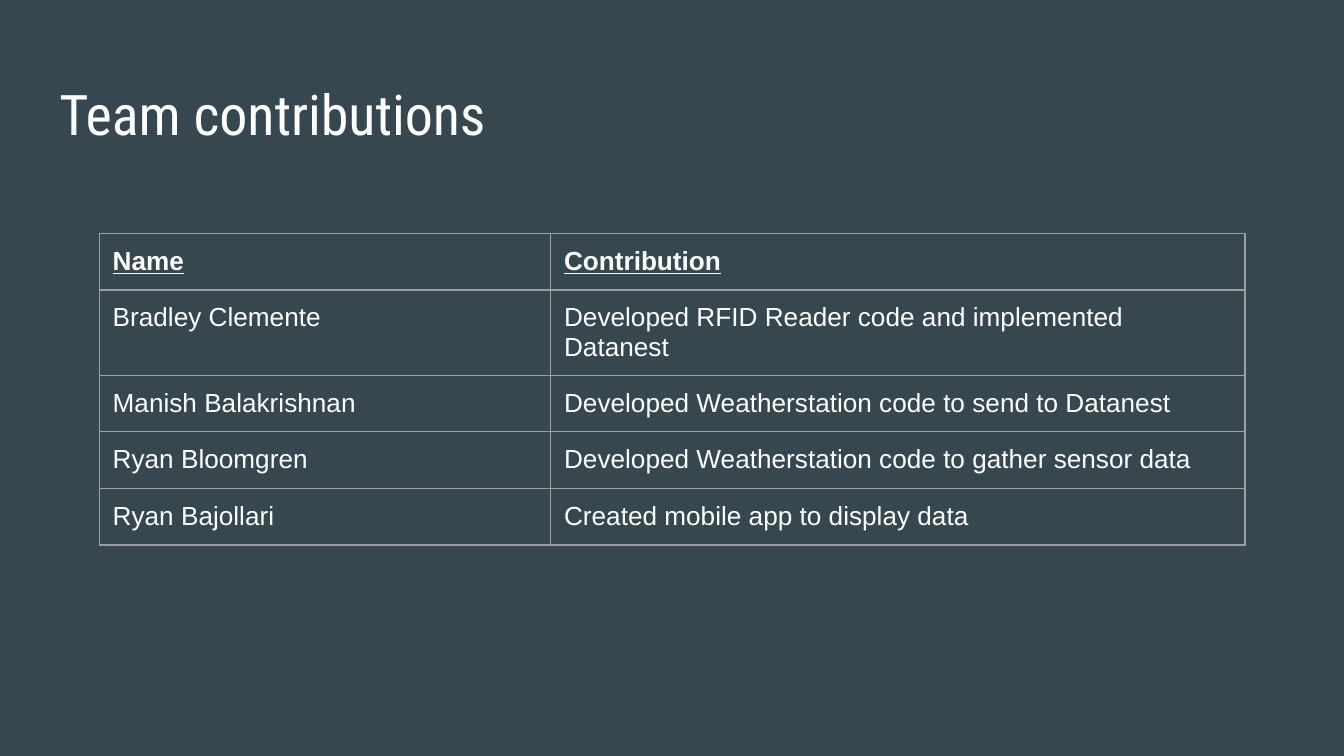
from lxml import etree
from pptx import Presentation
from pptx import util as u
from pptx.dml.color import RGBColor
from pptx.enum import text
from pptx.oxml.ns import qn

HUES = {"back": "37474F", "text": "FFFFFF", "rule": "9E9E9E"}
PAD = u.Cm(0.25)

ROWS = [
    ("Name", "Contribution"),
    ("Bradley Clemente", "Developed RFID Reader code and implemented Datanest"),
    ("Manish Balakrishnan", "Developed Weatherstation code to send to Datanest"),
    ("Ryan Bloomgren", "Developed Weatherstation code to gather sensor data"),
    ("Ryan Bajollari", "Created mobile app to display data"),
]


class Deck:
    """Holds the style and the current slide."""

    def __init__(self, wide, high):
        self.prs = Presentation()
        self.prs.slide_width, self.prs.slide_height = u.Cm(wide), u.Cm(high)
        self.slide = self.prs.slides.add_slide(self.prs.slide_layouts[5])
        fill = self.slide.background.fill
        fill.solid()
        fill.fore_color.rgb = RGBColor.from_string(HUES["back"])

    def style(self, frame, face, size, head=False):
        frame.word_wrap = True
        for para in frame.paragraphs:
            para.alignment = text.PP_ALIGN.LEFT
            for run in para.runs:
                font = run.font
                font.name, font.size = face, u.Pt(size)
                font.bold = font.underline = head
                font.color.rgb = RGBColor.from_string(HUES["text"])

    def pad(self, item):
        item.margin_left = item.margin_right = PAD
        item.margin_top = item.margin_bottom = PAD
        item.vertical_anchor = text.MSO_ANCHOR.TOP

    def title(self, words, left, top, wide, high):
        box = self.slide.shapes.title
        box.left, box.top = u.Cm(left), u.Cm(top)
        box.width, box.height = u.Cm(wide), u.Cm(high)
        frame = box.text_frame
        frame.text = words
        frame.auto_size = text.MSO_AUTO_SIZE.NONE
        self.pad(frame)
        self.style(frame, "Roboto Condensed", 30)

    def border(self, cell):
        props = cell._tc.get_or_add_tcPr()
        for spot, side in enumerate(("lnL", "lnR", "lnT", "lnB")):
            line = etree.Element(qn(f"a:{side}"), w=str(u.Pt(0.75)))
            fill = etree.SubElement(line, qn("a:solidFill"))
            etree.SubElement(fill, qn("a:srgbClr"), val=HUES["rule"])
            props.insert(spot, line)

    def table(self, rows, left, top, cols, high):
        frame = self.slide.shapes.add_table(
            len(rows), len(cols), u.Cm(left), u.Cm(top),
            u.Cm(sum(cols)), u.Cm(high * len(rows)))
        grid = frame.table
        grid.horz_banding = grid.first_row = False
        for col, wide in zip(grid.columns, cols):
            col.width = u.Cm(wide)
        for r, row in enumerate(rows):
            grid.rows[r].height = u.Cm(high)
            for c, words in enumerate(row):
                cell = grid.cell(r, c)
                cell.text_frame.text = words
                self.pad(cell)
                self.style(cell.text_frame, "Arial", 14, head=r == 0)
                cell.fill.background()
                self.border(cell)


def main():
    deck = Deck(25.4, 14.29)
    # Heading
    deck.title("Team contributions", 0.87, 1.25, 23.67, 1.6)
    # Who did what
    deck.table(ROWS, 1.88, 4.41, (8.53, 13.12), 1.07)
    deck.prs.save("out.pptx")


if __name__ == "__main__":
    main()
